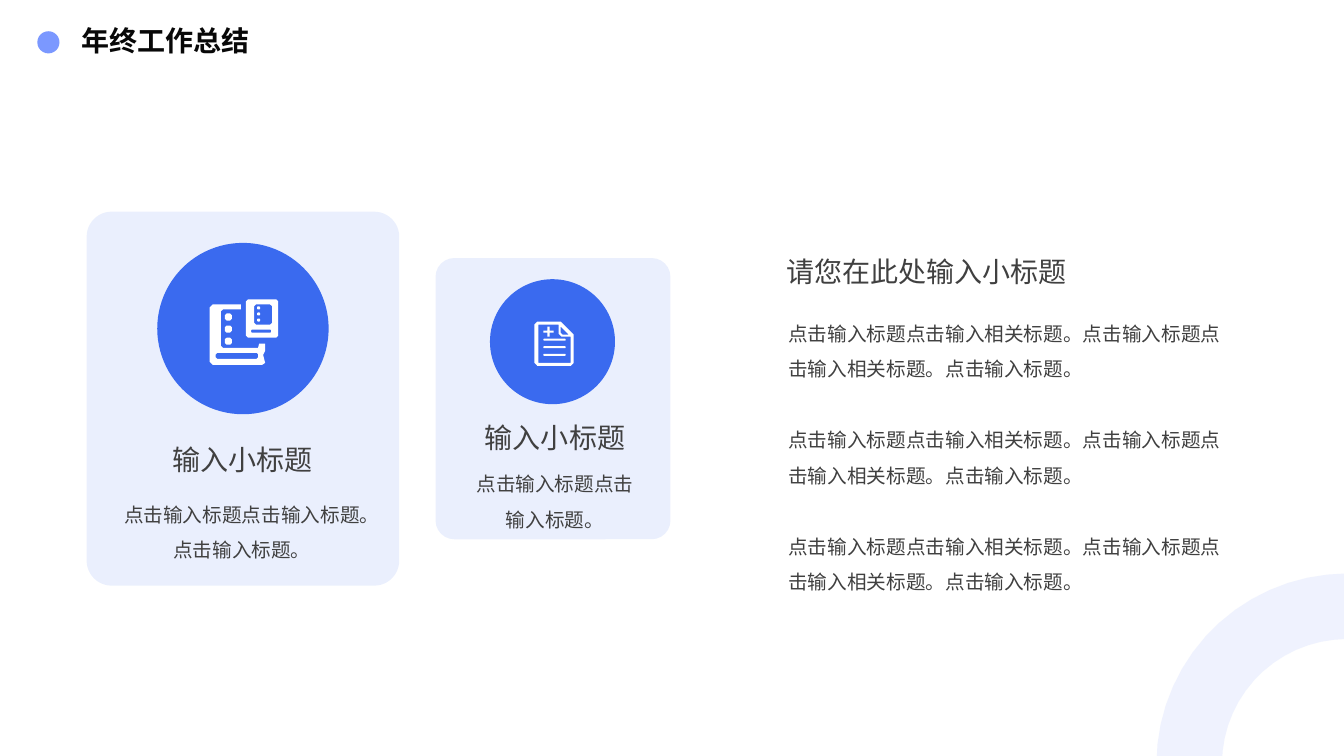
"""Year-end summary slide with two icon cards and a text column."""
from math import cos, radians, sin

from lxml.etree import SubElement
from pptx import Presentation
from pptx.dml.color import RGBColor
from pptx.enum.lang import MSO_LANGUAGE_ID as LANG
from pptx.enum.shapes import MSO_SHAPE as SHAPE
from pptx.enum.text import MSO_ANCHOR as ANCHOR, PP_ALIGN as ALIGN
from pptx.oxml.ns import qn
from pptx.util import Inches, Pt

FONT = "Noto Sans CJK SC"
BLUE, WHITE, GRAY = "3A6AEF", "FFFFFF", "404040"


def paint(target, color, alpha=None):
    target.fill.solid()
    target.fill.fore_color.rgb = RGBColor.from_string(color)
    if alpha:
        clr = target._element.spPr.find(qn("a:solidFill"))[0]
        SubElement(clr, qn("a:alpha")).set("val", str(alpha * 1000))


def add_text(paragraphs, x, y, w, h, size=14, color=GRAY, bold=False,
             align=ALIGN.LEFT, anchor=ANCHOR.TOP, spacing=None, gap=0):
    tf = slide.shapes.add_textbox(Inches(x), Inches(y), Inches(w), Inches(h)).text_frame
    tf.word_wrap = True
    tf.vertical_anchor = anchor
    for i, content in enumerate(paragraphs):
        p = tf.add_paragraph() if i else tf.paragraphs[0]
        p.alignment = align
        p.line_spacing = spacing
        if i:
            p.space_before = Pt(gap)
        r = p.add_run()
        r.text = content
        r.font.size, r.font.bold, r.font.name = Pt(size), bold, FONT
        r.font.language_id = LANG.SIMPLIFIED_CHINESE
        paint(r.font, color)
        SubElement(r.font._element, qn("a:ea")).set("typeface", FONT)


prs = Presentation()
prs.slide_width, prs.slide_height = Inches(13.33), Inches(7.5)
slide = prs.slides.add_slide(prs.slide_layouts[6])

sweep = range(180, 271, 6)
arc = [(1.89, a) for a in sweep] + [(1.24, a) for a in reversed(sweep)]
ring = [(min(13.33, 13.36 + radius * cos(radians(a))), 7.58 + radius * sin(radians(a)))
        for radius, a in arc]

book = [(2.08, 3.05), (2.11, 3.02), (2.39, 3.02), (2.39, 3.07), (2.21, 3.07), (2.19, 3.09),
        (2.19, 3.43), (2.21, 3.45), (2.56, 3.45), (2.57, 3.41), (2.63, 3.41), (2.63, 3.48),
        (2.61, 3.52), (2.63, 3.6), (2.6, 3.62), (2.11, 3.62), (2.08, 3.59)]
book_boxes = [(2.14, 3.5, 0.42, 0.06), (2.44, 2.97, 0.32, 0.38),
              (2.52, 3.02, 0.18, 0.2), (2.49, 3.27, 0.2, 0.03)]
book_boxes += [(2.23, 3.11 + 0.12 * i, 0.07, 0.07) for i in range(3)]
book_boxes += [(2.55, 3.04 + 0.06 * i, 0.03, 0.03) for i in range(3)]

sheet = [(5.3, 3.22), (5.33, 3.19), (5.56, 3.19), (5.69, 3.32), (5.69, 3.6), (5.66, 3.63),
         (5.33, 3.63), (5.3, 3.6)]
page = [(5.34, 3.22), (5.54, 3.22), (5.54, 3.31), (5.57, 3.34), (5.66, 3.34), (5.66, 3.6),
        (5.34, 3.6)]
fold = [(5.56, 3.24), (5.64, 3.32), (5.58, 3.32), (5.56, 3.3)]
plus = [(5.43, 3.24), (5.45, 3.24), (5.45, 3.28), (5.49, 3.28), (5.49, 3.3), (5.45, 3.3),
        (5.45, 3.34), (5.43, 3.34), (5.43, 3.3), (5.39, 3.3), (5.39, 3.28), (5.43, 3.28)]
lines = [(5.39, 3.36 + 0.075 * i, 0.22, 0.02) for i in range(3)]

drawn = []
for outlines, boxes, color, alpha in [
    ([ring], [], "97ADFC", 15),
    ([book], book_boxes, WHITE, None),
    ([sheet, page, fold, plus], lines, WHITE, None),
]:
    contours = list(outlines)
    for x, y, w, h in boxes:
        c = min(0.02, h / 4)
        contours.append([(x + c, y), (x + w - c, y), (x + w, y + c), (x + w, y + h - c),
                         (x + w - c, y + h), (x + c, y + h), (x, y + h - c), (x, y + c)])
    builder = None
    for contour in contours:
        points = [(Inches(x), Inches(y)) for x, y in contour]
        if builder:
            builder.move_to(*points[0])
        else:
            builder = slide.shapes.build_freeform(*points[0])
        builder.add_line_segments(points[1:])
    s = builder.convert_to_shape()
    paint(s, color, alpha)
    drawn.append(s)
icons = drawn[1:]

for kind, x, y, w, h, color, alpha in [
    (SHAPE.OVAL, 0.37, 0.31, 0.22, 0.22, "7B98FF", None),
    (SHAPE.ROUNDED_RECTANGLE, 0.86, 2.1, 3.1, 3.71, BLUE, 10),
    (SHAPE.ROUNDED_RECTANGLE, 4.32, 2.56, 2.33, 2.79, BLUE, 10),
    (SHAPE.OVAL, 1.56, 2.41, 1.7, 1.7, BLUE, None),
    (SHAPE.OVAL, 4.86, 2.77, 1.24, 1.24, BLUE, None),
]:
    s = slide.shapes.add_shape(kind, Inches(x), Inches(y), Inches(w), Inches(h))
    paint(s, color, alpha)
    if kind == SHAPE.ROUNDED_RECTANGLE:
        s.adjustments[0] = 0.08
    drawn.append(s)
for s in drawn:
    s.line.fill.background()
    s.shadow.inherit = False

add_text(["年终工作总结"], 0.71, 0.31, 2.33, 0.33, size=20, color="080808", bold=True,
         spacing=Pt(15))
add_text(["请您在此处输入小标题"], 7.7, 2.47, 4.73, 0.44, size=20, anchor=ANCHOR.MIDDLE)
add_text(["点击输入标题点击输入相关标题。点击输入标题点击输入相关标题。点击输入标题。"] * 3,
         7.72, 3.03, 4.67, 2.93, spacing=1.5, gap=25.5)
add_text(["输入小标题"], 4.57, 4.12, 1.87, 0.44, size=20, align=ALIGN.CENTER)
add_text(["点击输入标题点击输入标题。"], 4.57, 4.52, 1.87, 0.77, align=ALIGN.CENTER, spacing=1.5)
add_text(["输入小标题"], 1.24, 4.34, 2.33, 0.44, size=20, align=ALIGN.CENTER,
         anchor=ANCHOR.MIDDLE)
add_text(["点击输入标题点击输入标题。点击输入标题。"], 1.1, 4.82, 2.6, 0.77,
         align=ALIGN.CENTER, spacing=1.5)
for s in icons:
    slide.shapes._spTree.append(s._element)

prs.save("out.pptx")
